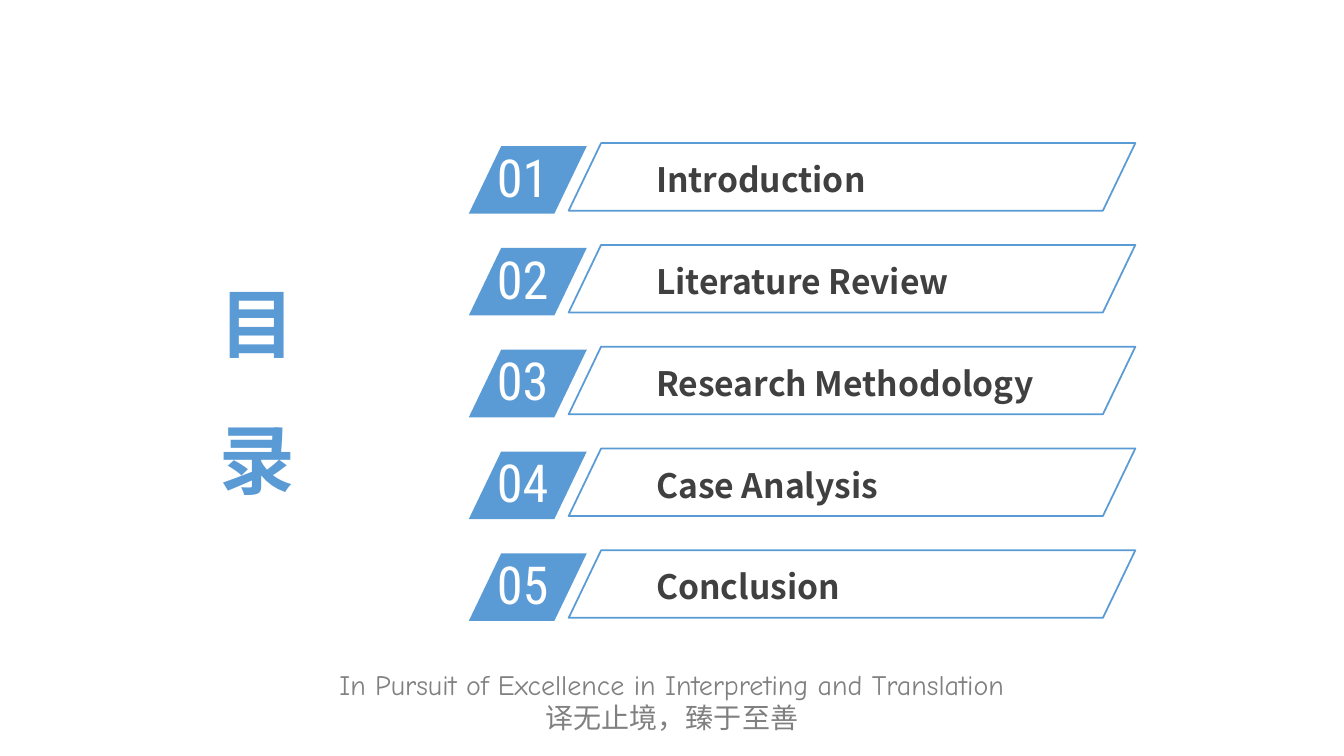
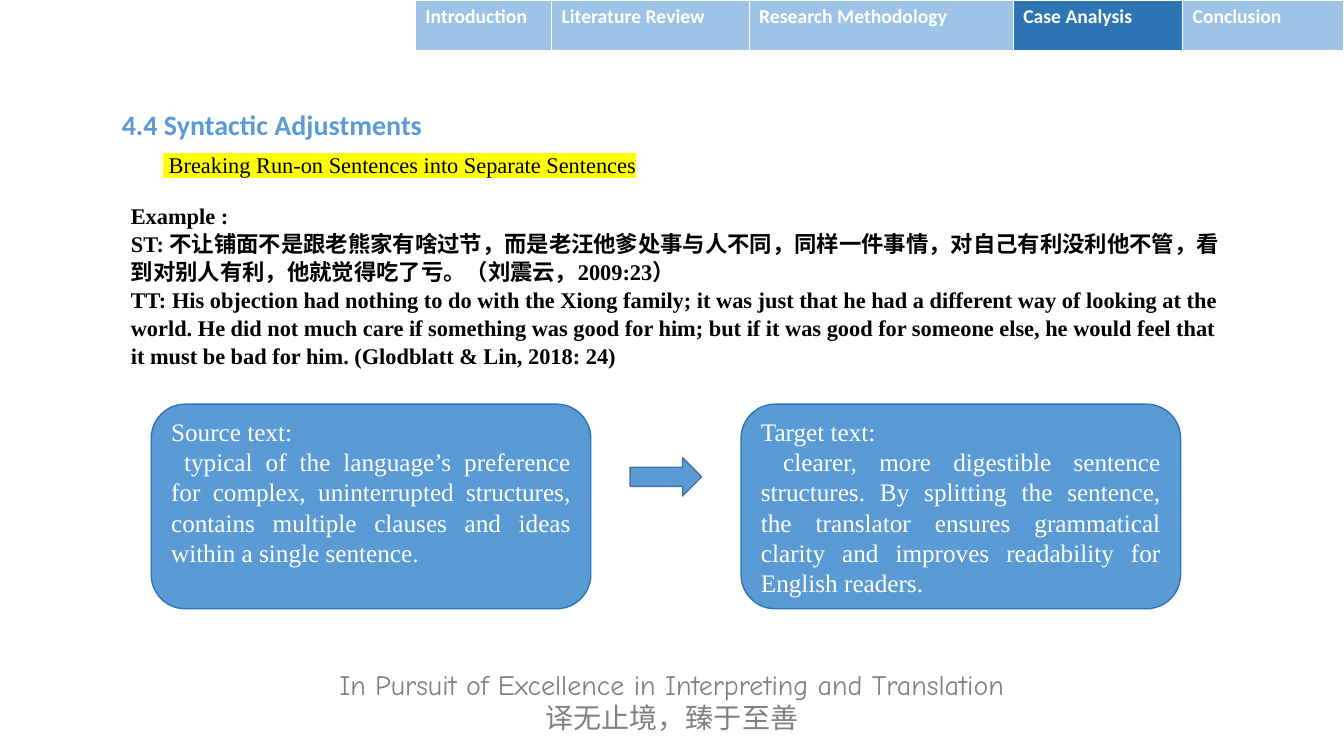
"""Build a contents slide and a case analysis slide that share a footer and theme."""
from dataclasses import dataclass

from lxml.etree import SubElement
from pptx import Presentation
from pptx.dml.color import RGBColor
from pptx.enum.shapes import MSO_SHAPE
from pptx.enum.text import MSO_ANCHOR, PP_ALIGN
from pptx.oxml.ns import qn
from pptx.util import Inches, Pt


@dataclass(frozen=True)
class Theme:
    blue: str = "5B9BD5"
    deep: str = "2E75B6"
    arrow_edge: str = "43739E"
    pale: str = "9DC3E6"
    white: str = "FFFFFF"
    black: str = "000000"
    dark: str = "404040"
    grey: str = "808080"
    yellow: str = "FFFF00"
    cjk: str = "Noto Sans CJK SC"
    serif: str = "Times New Roman"
    sans: str = "Calibri"
    script: str = "Comic Neue"
    digits: str = "Roboto Condensed"


THEME = Theme()


def style(size, name, color, bold=False, highlight=None, **layout):
    return {"font": {"size": Pt(size), "name": name, "bold": bold},
            "color": color, "highlight": highlight, "para": layout}


CENTER = {"alignment": PP_ALIGN.CENTER}
JUSTIFY = {"alignment": PP_ALIGN.JUSTIFY}
STYLES = {
    "motto": style(20, THEME.script, THEME.grey, **CENTER),
    "motto_cjk": style(20, THEME.cjk, THEME.grey, **CENTER),
    "contents": style(54, THEME.cjk, THEME.blue, True, line_spacing=1.5, **CENTER),
    "number": style(37.4, THEME.digits, THEME.white),
    "chapter": style(24, THEME.cjk, THEME.dark, True),
    "tab": style(14, THEME.sans, THEME.white, True),
    "heading": style(20, THEME.sans, THEME.blue, True, line_spacing=Pt(20)),
    "strategy": style(16, THEME.serif, THEME.black, highlight=THEME.yellow, **JUSTIFY),
    "example": style(16, THEME.serif, THEME.black, True, line_spacing=Pt(20)),
    "card": style(18, THEME.serif, THEME.white, **JUSTIFY),
}

CHAPTERS = ["Introduction", "Literature Review", "Research Methodology",
            "Case Analysis", "Conclusion"]
CURRENT = "Case Analysis"
TAB_WIDTHS = [1.35, 1.96, 2.62, 1.68, 1.6]
MOTTO = [("In Pursuit of Excellence in Interpreting and Translation", "motto"),
         ("译无止境，臻于至善", "motto_cjk")]
CONTENTS = ["目", "录"]
HEADING = "4.4 Syntactic Adjustments"
STRATEGY = " Breaking Run-on Sentences into Separate Sentences"
EXAMPLE = [
    "Example :",
    "ST: 不让铺面不是跟老熊家有啥过节，而是老汪他爹处事与人不同，同样一件事情，"
    "对自己有利没利他不管，看到对别人有利，他就觉得吃了亏。（刘震云，2009:23）",
    "TT: His objection had nothing to do with the Xiong family; it was just that he had "
    "a different way of looking at the world. He did not much care if something was good "
    "for him; but if it was good for someone else, he would feel that it must be bad for "
    "him. (Glodblatt & Lin, 2018: 24)",
]
CARDS = [
    ["Source text:",
     " typical of the language’s preference for complex, uninterrupted structures, "
     "contains multiple clauses and ideas within a single sentence."],
    ["Target text:",
     " clearer, more digestible sentence structures. By splitting the sentence, the "
     "translator ensures grammatical clarity and improves readability for English readers."],
]


def rgb(color):
    return RGBColor.from_string(color)


def apply(target, values):
    for name, value in values.items():
        setattr(target, name, value)


def write(frame, lines):
    for index, (text, key) in enumerate(lines):
        look = STYLES[key]
        para = frame.add_paragraph() if index else frame.paragraphs[0]
        apply(para, look["para"])
        span = para.add_run()
        span.text = text
        apply(span.font, look["font"])
        span.font.color.rgb = rgb(look["color"])
        latin = span.font._element.find(qn("a:latin"))
        east = SubElement(span.font._element, qn("a:ea"), typeface=THEME.cjk)
        latin.addnext(east)
        if look["highlight"]:
            mark = SubElement(span.font._element, qn("a:highlight"))
            SubElement(mark, qn("a:srgbClr"), val=look["highlight"])
            latin.addprevious(mark)


def add_text(page, area, lines, wrap=True):
    box = page.shapes.add_textbox(*map(Inches, area))
    box.text_frame.word_wrap = wrap
    write(box.text_frame, lines)


def add_shape(page, kind, area, fill=None, line=None, width=1, adjust=None):
    shape = page.shapes.add_shape(kind, *map(Inches, area))
    shape.shadow.inherit = False
    if adjust is not None:
        shape.adjustments[0] = adjust
    for part, color in ((shape.fill, fill), (shape.line.fill, line)):
        if color:
            part.solid()
            part.fore_color.rgb = rgb(color)
        else:
            part.background()
    if line:
        shape.line.width = Pt(width)
    return shape


def add_page(deck):
    page = deck.slides.add_slide(deck.slide_layouts[6])
    add_text(page, (0, 6.57, 13.33, 0.77), MOTTO)
    return page


def add_tabs(page):
    area = (13.33 - sum(TAB_WIDTHS), 0, sum(TAB_WIDTHS), 0.5)
    table = page.shapes.add_table(1, len(CHAPTERS), *map(Inches, area)).table
    table.horz_banding = False
    for column, chapter, width in zip(table.columns, CHAPTERS, TAB_WIDTHS):
        column.width = Inches(width)
    for cell, chapter in zip(table.rows[0].cells, CHAPTERS):
        cell.fill.solid()
        cell.fill.fore_color.rgb = rgb(THEME.deep if chapter == CURRENT else THEME.pale)
        write(cell.text_frame, [(chapter, "tab")])


def build_contents(deck):
    page = add_page(deck)
    slant = MSO_SHAPE.PARALLELOGRAM
    for index, chapter in enumerate(CHAPTERS):
        top = 1.45 + 1.01 * index
        add_shape(page, slant, (4.65, top, 1.17, 0.67), fill=THEME.blue, adjust=0.48)
        add_text(page, (4.83, top - 0.06, 1.12, 0.73), [(f"{index + 1:02}", "number")])
        add_shape(page, slant, (5.64, top - 0.03, 5.62, 0.67),
                  line=THEME.blue, width=1.25, adjust=0.48)
        add_text(page, (6.41, top + 0.08, 4.12, 0.5), [(chapter, "chapter")])
    add_text(page, (2.07, 2.25, 0.96, 2.61), [(text, "contents") for text in CONTENTS],
             wrap=False)


def build_case(deck):
    page = add_page(deck)
    add_tabs(page)
    add_text(page, (1.11, 1.07, 6.44, 0.38), [(HEADING, "heading")])
    add_text(page, (1.52, 1.45, 5.56, 0.37), [(STRATEGY, "strategy")])
    add_text(page, (1.2, 1.94, 11, 1.78), [(text, "example") for text in EXAMPLE])
    for index, texts in enumerate(CARDS):
        card = add_shape(page, MSO_SHAPE.ROUNDED_RECTANGLE,
                         (1.5 + 5.85 * index, 4.01, 4.36, 2.03),
                         fill=THEME.blue, line=THEME.deep)
        apply(card.text_frame, {"word_wrap": True, "vertical_anchor": MSO_ANCHOR.TOP,
                                "margin_top": Inches(0.02), "margin_bottom": 0})
        write(card.text_frame, [(text, "card") for text in texts])
    add_shape(page, MSO_SHAPE.RIGHT_ARROW, (6.25, 4.54, 0.71, 0.38),
              fill=THEME.blue, line=THEME.arrow_edge)


def main():
    deck = Presentation()
    apply(deck, {"slide_width": Inches(13.33), "slide_height": Inches(7.5)})
    build_contents(deck)
    build_case(deck)
    deck.save("out.pptx")


if __name__ == "__main__":
    main()
